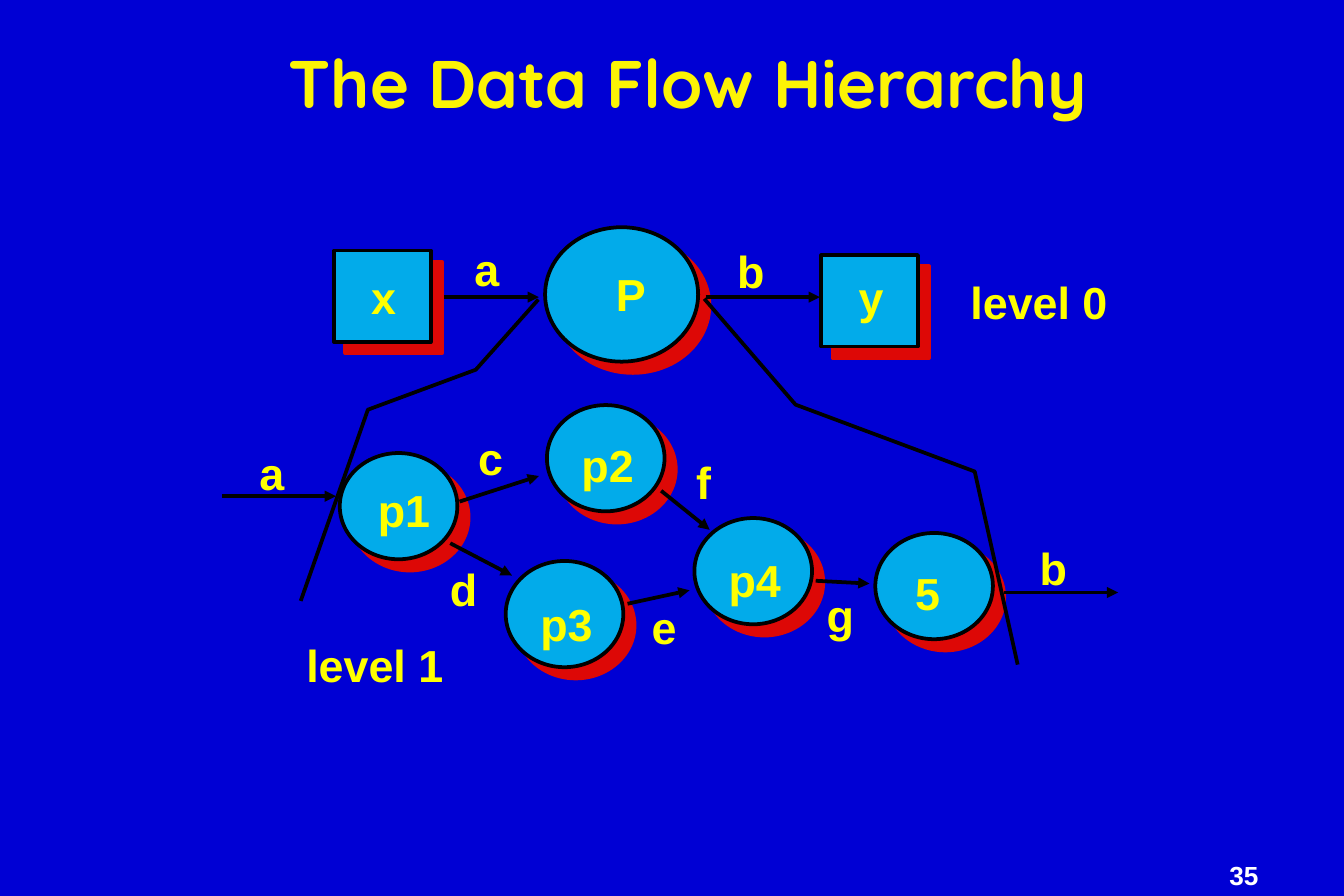
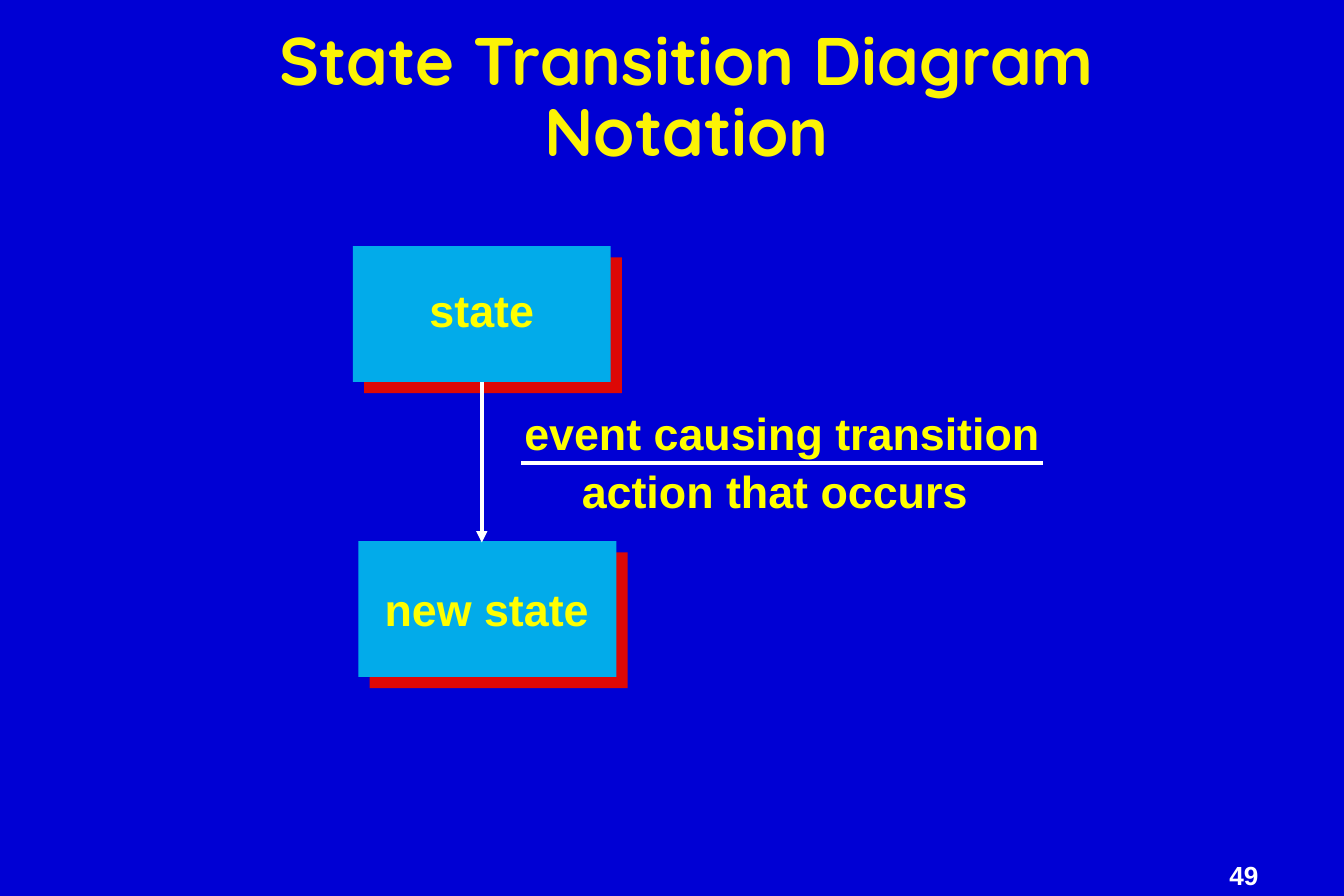
from lxml.etree import SubElement
from pptx import Presentation
from pptx.dml.color import RGBColor
from pptx.enum.shapes import MSO_CONNECTOR, MSO_SHAPE
from pptx.enum.text import MSO_ANCHOR, MSO_AUTO_SIZE, PP_ALIGN
from pptx.oxml.ns import qn
from pptx.util import Pt

BLUE = RGBColor(0x00, 0x00, 0xD4)
CYAN = RGBColor(0x02, 0xAB, 0xEA)
RED = RGBColor(0xDD, 0x08, 0x06)
TITLE_YELLOW = RGBColor(0xFC, 0xF3, 0x05)
YELLOW = RGBColor(0xFF, 0xFF, 0x00)
BLACK = RGBColor(0x00, 0x00, 0x00)
WHITE = RGBColor(0xFF, 0xFF, 0xFF)

TITLE_FONT = "Quicksand"
BODY_FONT = "Arial"
LINE_WIDTH = Pt(2)
LABEL_HEIGHT = 36
LETTER_WIDTH = 27.4
WIDE_LETTER_WIDTH = 28.8
PROCESS_NAME_WIDTH = 42.5
LEVEL_WIDTH = 87.8
PROCESS_SIZE = (63, 56.9)
TERMINATOR_SIZE = (51.8, 49)
STATE_SIZE = (138.2, 72.7)


def style_font(paragraph, name, size, color):
    font = paragraph.font
    font.name = name
    font.size = Pt(size)
    font.bold = True
    font.color.rgb = color


def add_text(slide, text, left, top, width, height=LABEL_HEIGHT, size=24, color=YELLOW):
    box = slide.shapes.add_textbox(Pt(left), Pt(top), Pt(width), Pt(height))
    frame = box.text_frame
    frame.word_wrap = False
    frame.text = text
    style_font(frame.paragraphs[0], BODY_FONT, size, color)
    return frame


def add_slide(presentation, title, title_box, number):
    slide = presentation.slides.add_slide(presentation.slide_layouts[5])
    number_frame = add_text(slide, number, 653.6, 460.2, 77.8, 19.5, 14, WHITE)
    number_frame.margin_left = number_frame.margin_right = Pt(5)
    number_frame.margin_top = number_frame.margin_bottom = Pt(2)
    number_frame.paragraphs[0].line_spacing = 0.9

    heading = slide.shapes.title
    heading.left, heading.top, heading.width, heading.height = map(Pt, title_box)
    frame = heading.text_frame
    frame.text = title
    frame.word_wrap = True
    frame.auto_size = MSO_AUTO_SIZE.NONE
    frame.vertical_anchor = MSO_ANCHOR.MIDDLE
    paragraph = frame.paragraphs[0]
    paragraph.alignment = PP_ALIGN.CENTER
    paragraph.line_spacing = 0.88
    style_font(paragraph, TITLE_FONT, 36, TITLE_YELLOW)
    return slide


def add_drop_shadow(shape):
    shape.shadow.inherit = False
    effects = shape.element.spPr.find(qn("a:effectLst"))
    shadow = SubElement(effects, qn("a:outerShdw"), blurRad="0", dist=str(Pt(8.5)),
                        dir="2700000", algn="ctr", rotWithShape="0")
    SubElement(shadow, qn("a:srgbClr"), val=str(RED))


def add_node(slide, kind, left, top, size, outlined=True):
    node = slide.shapes.add_shape(kind, Pt(left), Pt(top), *map(Pt, size))
    node.fill.solid()
    node.fill.fore_color.rgb = CYAN
    if outlined:
        node.line.color.rgb = BLACK
        node.line.width = LINE_WIDTH
    else:
        node.line.fill.background()
    add_drop_shadow(node)
    return node


def add_line(slide, start_x, start_y, end_x, end_y, color=BLACK, arrow=True):
    line = slide.shapes.add_connector(
        MSO_CONNECTOR.STRAIGHT, Pt(start_x), Pt(start_y), Pt(end_x), Pt(end_y))
    line.line.color.rgb = color
    line.line.width = LINE_WIDTH
    properties = line.element.spPr
    if arrow:
        SubElement(properties.find(qn("a:ln")), qn("a:tailEnd"), type="triangle")
    SubElement(properties, qn("a:effectLst"))
    return line


def add_boundary(slide, points):
    corners = [(Pt(x), Pt(y)) for x, y in points]
    builder = slide.shapes.build_freeform(*corners[0])
    builder.add_line_segments(corners[1:], close=False)
    boundary = builder.convert_to_shape()
    boundary.fill.background()
    boundary.line.color.rgb = BLACK
    boundary.line.width = LINE_WIDTH
    boundary.shadow.inherit = False


def add_hierarchy_slide(presentation):
    slide = add_slide(presentation, "The Data Flow Hierarchy", (92.9, 23.8, 551.5, 45.4), "35")

    add_node(slide, MSO_SHAPE.OVAL, 292, 121.7, (82, 72))
    for flow in [(228.2, 159.1, 288.7, 159.1), (378, 159.1, 439.2, 159.1)]:
        add_line(slide, *flow)
    for left, top in [(179, 134.2), (440, 136.6)]:
        add_node(slide, MSO_SHAPE.RECTANGLE, left, top, TERMINATOR_SIZE)

    processes = [(182, 242.6), (293, 216.9), (270.9, 300.4), (372, 277.4), (468.9, 285.4)]
    for left, top in processes:
        add_node(slide, MSO_SHAPE.OVAL, left, top, PROCESS_SIZE)

    flows = [
        (118.8, 265.7, 180, 265.7),
        (537.8, 317.3, 599, 317.3),
        (246.2, 268.6, 288.7, 254.9),
        (241.2, 290.9, 274.3, 308.2),
        (336.2, 323.3, 369.4, 316.1),
        (354.2, 262.8, 380.2, 283.7),
        (437, 311, 465.8, 312.5),
    ]
    for flow in flows:
        add_line(slide, *flow)

    add_boundary(slide, [(288.4, 160.4), (254.9, 198), (197.1, 219.4), (161.1, 321.8)])
    add_boundary(slide, [(377.3, 160), (426.2, 216.7), (522.2, 252.5), (545.2, 355.9)])

    labels = [
        ("P", 322.8, 139.2, 30.2),
        ("a", 247, 126, LETTER_WIDTH),
        ("b", 387.9, 126.7, WIDE_LETTER_WIDTH),
        ("x", 191.7, 141.1, LETTER_WIDTH),
        ("y", 452.9, 141.1, LETTER_WIDTH),
        ("p1", 195.3, 254.7, PROCESS_NAME_WIDTH),
        ("p2", 304.4, 230.6, PROCESS_NAME_WIDTH),
        ("p3", 282.4, 316.1, PROCESS_NAME_WIDTH),
        ("p4", 383.2, 292.3, PROCESS_NAME_WIDTH),
        ("5", 483.1, 299.5, LETTER_WIDTH),
        ("a", 131.8, 235.4, LETTER_WIDTH),
        ("b", 549.9, 286, WIDE_LETTER_WIDTH),
        ("c", 249, 227.3, LETTER_WIDTH),
        ("d", 234, 297.4, WIDE_LETTER_WIDTH),
        ("e", 342, 317.5, LETTER_WIDTH),
        ("f", 365.8, 239.8, 22.3),
        ("g", 435.8, 311, WIDE_LETTER_WIDTH),
        ("level 0", 512.8, 143.5, LEVEL_WIDTH),
        ("level 1", 157, 337.7, LEVEL_WIDTH),
    ]
    for label in labels:
        add_text(slide, *label)


def add_transition_slide(presentation):
    slide = add_slide(presentation, "State Transition Diagram Notation", (79.9, 12.2, 576, 82.8), "49")

    state = add_node(slide, MSO_SHAPE.RECTANGLE, 189, 131.8, STATE_SIZE, outlined=False)
    add_node(slide, MSO_SHAPE.RECTANGLE, 192, 289.8, STATE_SIZE, outlined=False)
    transition = add_line(slide, 258.1, 206.6, 258.1, 290.5, WHITE)
    transition.begin_connect(state, 2)
    add_line(slide, 279.2, 248, 558.8, 248, WHITE, arrow=False)

    labels = [
        ("state", 223, 147.6, 70.6),
        ("new state", 198.9, 308.2, 123.8),
        ("event causing transition", 273.8, 213.8, 290.2),
        ("action that occurs", 304.6, 244.8, 221),
    ]
    for label in labels:
        add_text(slide, *label)


def main():
    presentation = Presentation()
    presentation.slide_width = Pt(720)
    presentation.slide_height = Pt(479.8)
    background = presentation.slide_master.background.fill
    background.solid()
    background.fore_color.rgb = BLUE
    add_hierarchy_slide(presentation)
    add_transition_slide(presentation)
    presentation.save("out.pptx")


if __name__ == "__main__":
    main()
